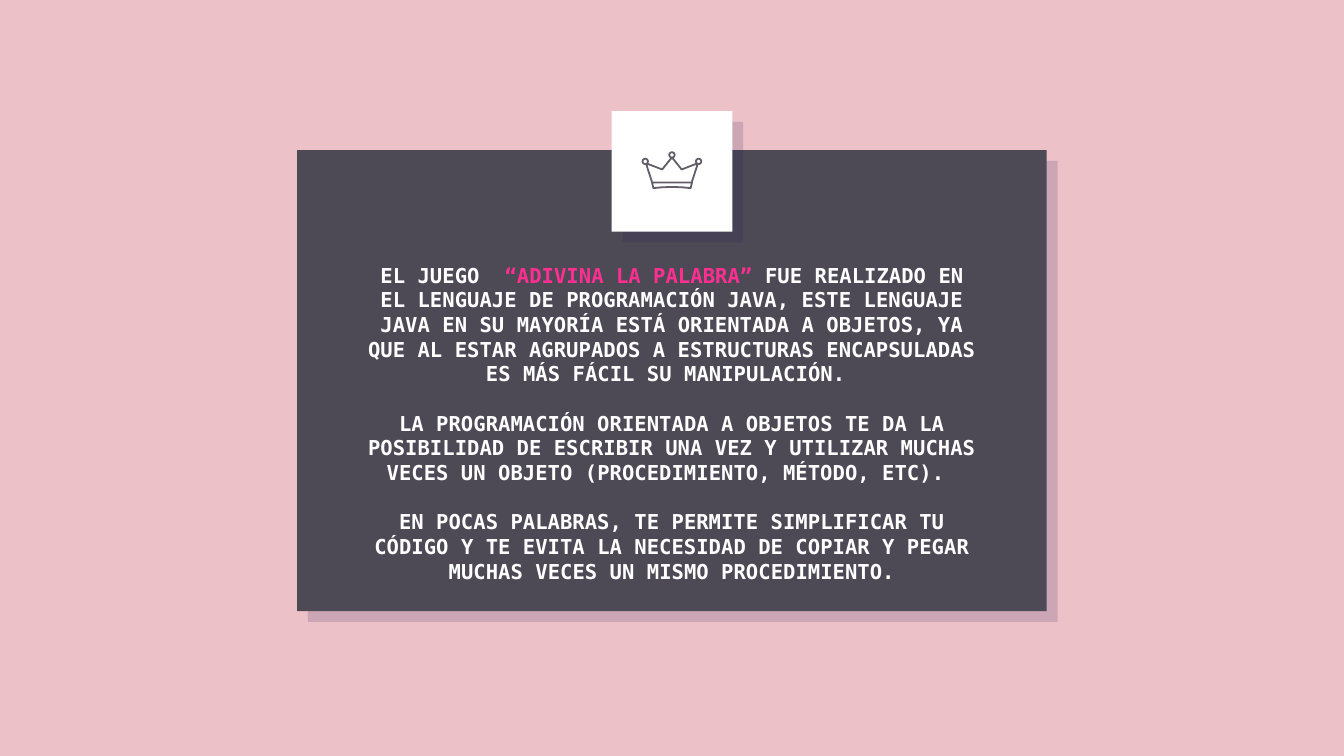
from lxml import etree
from pptx import Presentation
from pptx.dml.color import RGBColor
from pptx.enum.shapes import MSO_SHAPE
from pptx.enum.text import MSO_ANCHOR, PP_ALIGN
from pptx.oxml.ns import qn
from pptx.util import Pt

RECTANGLE, OVAL = MSO_SHAPE.RECTANGLE, MSO_SHAPE.OVAL
BOTTOM, CENTER = MSO_ANCHOR.BOTTOM, PP_ALIGN.CENTER

THEME = {
    "background": RGBColor.from_string("ECC1C8"),
    "panel": RGBColor.from_string("4D4A56"),
    "badge": RGBColor.from_string("FFFFFF"),
    "text": RGBColor.from_string("FFFFFF"),
    "accent": RGBColor.from_string("FF2F92"),
    "icon": RGBColor.from_string("625D69"),
    "shadow": "20124D",
    "font": "DejaVu Sans Mono",
    "size": Pt(11),
    "gap": Pt(13.2),
    "icon_line": Pt(0.96),
}


def add_card(page, left, top, width, height, color):
    """Add a filled rectangle with a hard translucent shadow to its lower right."""
    card = page.shapes.add_shape(RECTANGLE, Pt(left), Pt(top), Pt(width), Pt(height))
    card.fill.solid()
    card.fill.fore_color.rgb = color
    card.line.fill.background()
    card.shadow.inherit = False
    effects = card._element.spPr.find(qn("a:effectLst"))
    shadow = etree.SubElement(effects, qn("a:outerShdw"), blurRad="0",
                              dist=str(Pt(8.2)), dir=str(45 * 60000),
                              algn="bl", rotWithShape="0")
    tint = etree.SubElement(shadow, qn("a:srgbClr"), val=THEME["shadow"])
    etree.SubElement(tint, qn("a:alpha"), val="15000")


def style_outline(shape):
    """Leave a crown part unfilled and give it the icon line."""
    shape.fill.background()
    shape.line.color.rgb = THEME["icon"]
    shape.line.width = THEME["icon_line"]
    shape.shadow.inherit = False


deck = Presentation()
deck.slide_width, deck.slide_height = Pt(720), Pt(405)
page = deck.slides.add_slide(deck.slide_layouts[6])
page.background.fill.solid()
page.background.fill.fore_color.rgb = THEME["background"]

add_card(page, 159.2, 80.4, 401.6, 247, THEME["panel"])
add_card(page, 327.7, 59.5, 64.6, 64.6, THEME["badge"])

# Each paragraph is a list of (wording, colour) spans
paragraphs = [
    [("EL JUEGO  ", "text"),
     ("“ADIVINA LA PALABRA” ", "accent"),
     ("FUE REALIZADO EN EL LENGUAJE DE PROGRAMACIÓN JAVA, ESTE LENGUAJE JAVA "
      "EN SU MAYORÍA ESTÁ ORIENTADA A OBJETOS, YA QUE AL ESTAR AGRUPADOS A "
      "ESTRUCTURAS ENCAPSULADAS ES MÁS FÁCIL SU MANIPULACIÓN. ", "text")],
    [("LA PROGRAMACIÓN ORIENTADA A OBJETOS TE DA LA POSIBILIDAD DE ESCRIBIR UNA "
      "VEZ Y UTILIZAR MUCHAS VECES UN OBJETO (PROCEDIMIENTO, MÉTODO, ETC). ", "text")],
    [("EN POCAS PALABRAS, TE PERMITE SIMPLIFICAR TU CÓDIGO Y TE EVITA LA NECESIDAD "
      "DE COPIAR Y PEGAR MUCHAS VECES UN MISMO PROCEDIMIENTO.", "text")],
]
box = page.shapes.add_textbox(Pt(189.4), Pt(135.4), Pt(341.2), Pt(184.3))
frame = box.text_frame
frame.word_wrap = True
frame.vertical_anchor = BOTTOM
frame.margin_left = frame.margin_right = Pt(7.2)
frame.margin_top = frame.margin_bottom = Pt(7.2)
for index, spans in enumerate(paragraphs):
    para = frame.add_paragraph() if index else frame.paragraphs[0]
    para.alignment = CENTER
    para.space_before = THEME["gap"] if index else Pt(0)
    for wording, color in spans:
        span = para.add_run()
        span.text = wording
        span.font.name = THEME["font"]
        span.font.size = THEME["size"]
        span.font.bold = True
        span.font.color.rgb = THEME[color]

# Crown: three jewels, then outlines mirrored about the centre line
crown_x = 360
jewel = 2.9
for offset, middle_y in [(-14.3, 86.5), (0, 83), (14.3, 86.5)]:
    style_outline(page.shapes.add_shape(
        OVAL, Pt(crown_x + offset - jewel / 2), Pt(middle_y - jewel / 2),
        Pt(jewel), Pt(jewel)))

points_half = [(10.7, 97.4), (13.6, 88.5), (12.7, 87.9), (5.2, 90.8), (0.5, 84.9)]
band_half = [(10.7, 97.8), (10, 100.8), (5.5, 100.4), (0, 100.2)]
for half, closed in [(points_half, False), (band_half, True)]:
    mirrored = [(-x, y) for x, y in reversed(half) if x]
    outline = [(Pt(crown_x + x), Pt(y)) for x, y in half + mirrored]
    builder = page.shapes.build_freeform(*outline[0])
    builder.add_line_segments(outline[1:], close=closed)
    style_outline(builder.convert_to_shape())

deck.save("out.pptx")
